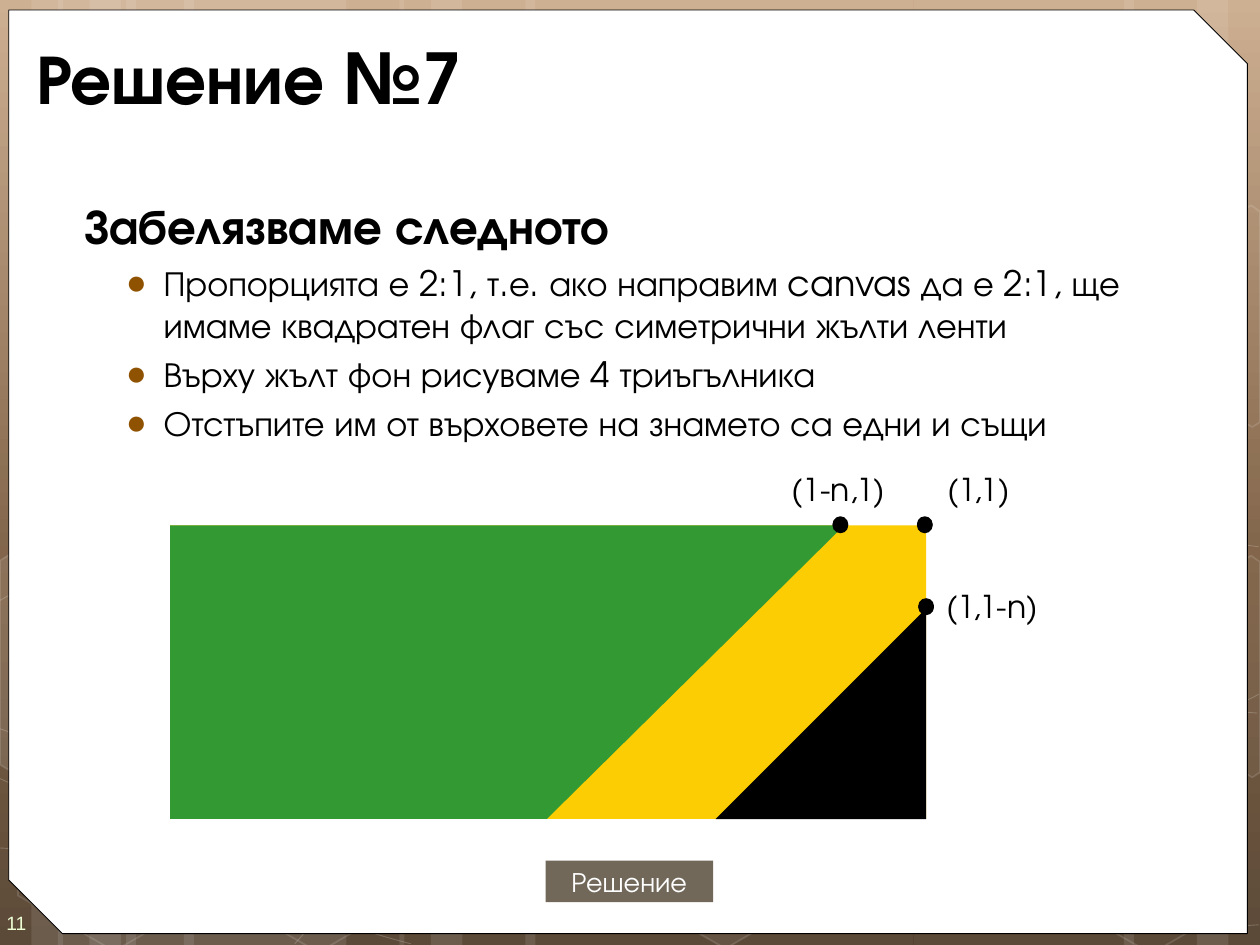
from lxml import etree
from pptx import Presentation
from pptx import util as u
from pptx.dml.color import RGBColor
from pptx.enum import shapes, text
from pptx.oxml.ns import qn

COLORS = {
    "white": "FFFFFF", "black": "000000", "green": "339933", "yellow": "FDCD03",
    "bullet": "8F5201", "button": "71685A", "number": "EEFFD6",
    "sky": "C8A685", "earth": "705032", "soil": "4A3622",
}
FONT = "TeX Gyre Adventor"
KIND = shapes.MSO_SHAPE


def color(name):
    """Return the named colour."""
    return RGBColor.from_string(COLORS[name])


def add_alpha(solid, percent):
    """Make a solid fill element partly transparent."""
    etree.SubElement(solid[0], qn("a:alpha"), val=str(percent * 1000))


class Painter:
    """Holds the style and the current page."""

    def __init__(self, page):
        self.page = page
        self.shapes = page.shapes

    def background(self, stops):
        """Paint a gradient from top to bottom."""
        fill = self.page.background.fill
        fill.gradient()
        fill.gradient_angle = 270
        stop_list = self.page.element.find(".//" + qn("a:gsLst"))
        for stop in list(stop_list):
            stop_list.remove(stop)
        for position, name in stops:
            stop = etree.SubElement(stop_list, qn("a:gs"), pos=str(position * 1000))
            etree.SubElement(stop, qn("a:srgbClr"), val=COLORS[name])

    def style(self, shape, fill=None, alpha=None, line=None, width=1, line_alpha=None):
        """Set fill and line, with opacity in percent."""
        shape.shadow.inherit = False
        properties = shape.element.spPr
        if fill:
            shape.fill.solid()
            shape.fill.fore_color.rgb = color(fill)
            if alpha:
                add_alpha(properties.find(qn("a:solidFill")), alpha)
        else:
            shape.fill.background()
        if line:
            shape.line.color.rgb = color(line)
            shape.line.width = u.Pt(width)
            if line_alpha:
                add_alpha(properties.find(qn("a:ln")).find(qn("a:solidFill")), line_alpha)
        else:
            shape.line.fill.background()
        return shape

    def shape(self, kind, at, adjust=(), rotation=0, **style):
        """Add a preset shape."""
        shape = self.shapes.add_shape(kind, *map(u.Inches, at))
        for i, value in enumerate(adjust):
            shape.adjustments[i] = value
        shape.rotation = rotation
        return self.style(shape, **style)

    def outline(self, points, close=True, **style):
        """Add a free outline through the points."""
        start, *others = [tuple(map(u.Inches, point)) for point in points]
        builder = self.shapes.build_freeform(*start)
        builder.add_line_segments(others, close=close)
        return self.style(builder.convert_to_shape(), **style)

    def curve(self, points, **style):
        """Add an open chain of cubic curves: a start, then three points for each."""
        shape = self.outline(points, close=False, **style)
        path = shape.element.find(".//" + qn("a:path"))
        lines = path.findall(qn("a:lnTo"))
        for i in range(0, len(lines), 3):
            cubic = etree.SubElement(path, qn("a:cubicBezTo"))
            for line in lines[i:i + 3]:
                cubic.append(line[0])
                path.remove(line)

    def paragraph(self, para, wording, size, ink="black", bold=False, font=FONT):
        """Write one paragraph."""
        para.text = wording
        para.font.size, para.font.bold, para.font.name = u.Pt(size), bold, font
        para.font.color.rgb = color(ink)

    def box(self, at, wording, size, insets=(0.1, 0.05, 0.1, 0.05), middle=False, **style):
        """Add a text box with one paragraph and return its frame."""
        frame = self.shapes.add_textbox(*map(u.Inches, at)).text_frame
        frame.word_wrap = True
        (frame.margin_left, frame.margin_top,
         frame.margin_right, frame.margin_bottom) = map(u.Inches, insets)
        anchors = text.MSO_ANCHOR
        frame.vertical_anchor = anchors.MIDDLE if middle else anchors.TOP
        self.paragraph(frame.paragraphs[0], wording, size, **style)
        return frame

    def indent(self, para, left, hanging=0, bullet=None):
        """Set the indent and the bullet of a paragraph."""
        properties = para._p.get_or_add_pPr()
        properties.set("marL", str(u.Inches(left)))
        properties.set("indent", str(u.Inches(-hanging)))
        if bullet:
            ink = etree.SubElement(properties, qn("a:buClr"))
            etree.SubElement(ink, qn("a:srgbClr"), val=COLORS["bullet"])
            etree.SubElement(properties, qn("a:buFont"), typeface="Arial")
            etree.SubElement(properties, qn("a:buChar"), char=bullet)

    def dot(self, x, y):
        """Mark a point with a very short line that has round ends."""
        line = self.shapes.add_connector(
            shapes.MSO_CONNECTOR.STRAIGHT, *map(u.Inches, (x, y, x, y - 0.01)))
        line.line.color.rgb = color("black")
        line.line.width = u.Pt(3)
        properties = line.element.spPr
        for end in ("a:headEnd", "a:tailEnd"):
            etree.SubElement(properties.find(qn("a:ln")), qn(end), type="oval")
        etree.SubElement(properties, qn("a:effectLst"))


deck = Presentation()
deck.slide_width, deck.slide_height = u.Inches(10), u.Inches(7.5)
painter = Painter(deck.slides.add_slide(deck.slide_layouts[6]))

# Backdrop
painter.background([(0, "sky"), (62, "earth"), (100, "soil")])
BANDS = [(1, 1.75), (0, 0.5), (0.25, 0.83), (1.46, 1.75), (0.46, 0.5), (0.71, 0.83),
         (7.25, 1.75), (9.5, 0.5), (8.92, 0.83), (4.17, 3.08), (3.17, 0.5), (3.42, 0.83)]
for left, width in BANDS:
    painter.shape(KIND.RECTANGLE, (left, 0, width, 7.5), fill="white", alpha=10)
CURVES = [
    [(-0.01, 6.73), (0.53, 6.76), (1.07, 6.79), (1.82, 6.78), (2.57, 6.77), (3.49, 6.75),
     (4.5, 6.65), (5.5, 6.55), (6.92, 6.36), (7.83, 6.17), (8.75, 5.98), (9.69, 5.68),
     (9.99, 5.51)],
    [(-0.01, 4.77), (0.28, 4.61), (0.56, 4.46), (1.13, 4.31), (1.7, 4.16), (2.5, 3.94),
     (3.39, 3.87), (4.28, 3.8), (5.36, 3.79), (6.46, 3.87), (7.56, 3.95), (9.39, 4.26),
     (9.99, 4.34)],
    [(-0.02, 6.17), (1.18, 6.72), (2.39, 7.27), (3.26, 7.49)],
    [(-0.01, 5.78), (0.3, 5.89), (0.61, 6), (1.2, 6.16), (1.78, 6.31), (2.65, 6.56),
     (3.48, 6.73), (4.32, 6.9), (5.37, 7.08), (6.2, 7.18), (7.02, 7.29), (7.91, 7.33),
     (8.44, 7.36), (8.97, 7.4), (9.11, 7.38), (9.37, 7.38), (9.62, 7.37), (9.81, 7.35),
     (9.99, 7.34)],
    [(2.34, 7.49), (2.52, 7.29), (2.69, 7.09), (2.94, 6.91), (3.18, 6.73), (3.51, 6.53),
     (3.79, 6.39), (4.07, 6.25), (4.24, 6.19), (4.61, 6.09), (4.98, 5.99), (5.65, 5.85),
     (6, 5.78), (6.35, 5.71), (6.41, 5.71), (6.72, 5.69), (7.03, 5.66), (7.51, 5.63),
     (7.86, 5.62), (8.5, 5.61), (9.4, 5.61), (9.98, 5.66)],
]
for points in CURVES:
    painter.curve(points, line="white", width=0.5, line_alpha=20)
for left, top, alpha in [(4.88, 5.89, 6), (0.03, 5.91, 0), (1.65, 5.92, 0), (8.26, 5.93, 0)]:
    painter.shape(KIND.HEXAGON, (left, top, 1.75, 1.52), (0.285, 1.155), 30,
                  fill="white" if alpha else None, alpha=alpha, line="white", line_alpha=12)
painter.outline([(0, 4.45), (0.11, 4.38), (0.87, 4.82), (0.87, 5.7), (0.12, 6.14), (0, 6.07)],
                fill="white", alpha=10, line="white", line_alpha=12)
for top, alpha in [(4.41, 4), (1.63, 0)]:
    painter.outline([(9.18, top + 0.44), (9.93, top), (10, top + 0.05), (10, top + 1.72),
                     (9.94, top + 1.76), (9.17, top + 1.32)],
                    fill="white" if alpha else None, alpha=alpha, line="white", line_alpha=12)
painter.shape(KIND.SNIP_2_DIAG_RECTANGLE, (0.07, 0.08, 9.83, 7.33), (0, 0.058),
              fill="white", line="black", width=0.5)
painter.box((0, 7.1, 0.58, 0.4), "11", 11, (0.05, 0.15, 0, 0.1), True, ink="number", font="Arial")

# Flag
LEFT, TOP, RIGHT, BOTTOM = 1.35, 4.17, 7.35, 6.5
painter.shape(KIND.RECTANGLE, (LEFT, TOP, RIGHT - LEFT, BOTTOM - TOP), fill="yellow")
painter.shape(KIND.ISOSCELES_TRIANGLE, (RIGHT - 1.67, BOTTOM - 1.67, 1.67, 1.67), (0,), 270,
              fill="black")
painter.outline([(LEFT, TOP), (6.7, TOP), (4.34, BOTTOM), (LEFT, BOTTOM)], fill="green")

# Wording
painter.box((0.19, 0.25, 9.47, 0.71), "Решение №7", 40, middle=True, bold=True)
body = painter.box((0.5, 1.5, 9.42, 5.92), "Забелязваме следното", 28, bold=True)
painter.indent(body.paragraphs[0], 0.07)
for wording in (
    "Пропорцията е 2:1, т.е. ако направим canvas да е 2:1, ще имаме квадратен флаг "
    "със симетрични жълти ленти",
    "Върху жълт фон рисуваме 4 триъгълника",
    "Отстъпите им от върховете на знамето са едни и същи",
):
    para = body.add_paragraph()
    para.level = 1
    para.space_before = u.Pt(4)
    painter.indent(para, 0.7, 0.3, "●")
    painter.paragraph(para, wording, 20)

button = painter.shape(KIND.RECTANGLE, (4.33, 6.83, 1.33, 0.33), fill="button").text_frame
button.margin_left = button.margin_right = 0
button.vertical_anchor = text.MSO_ANCHOR.MIDDLE
painter.paragraph(button.paragraphs[0], "Решение", 16, "white")
button.paragraphs[0].alignment = text.PP_ALIGN.CENTER

# Marked points
for wording, left, top, x, y in [("(1,1)", 7.42, 3.68, 7.34, TOP),
                                 ("(1,1-n)", 7.41, 4.61, RIGHT, 4.82),
                                 ("(1-n,1)", 6.18, 3.68, 6.67, TOP)]:
    painter.dot(x, y)
    painter.box((left, top, 1.08, 0.4), wording, 18)

deck.save("out.pptx")
